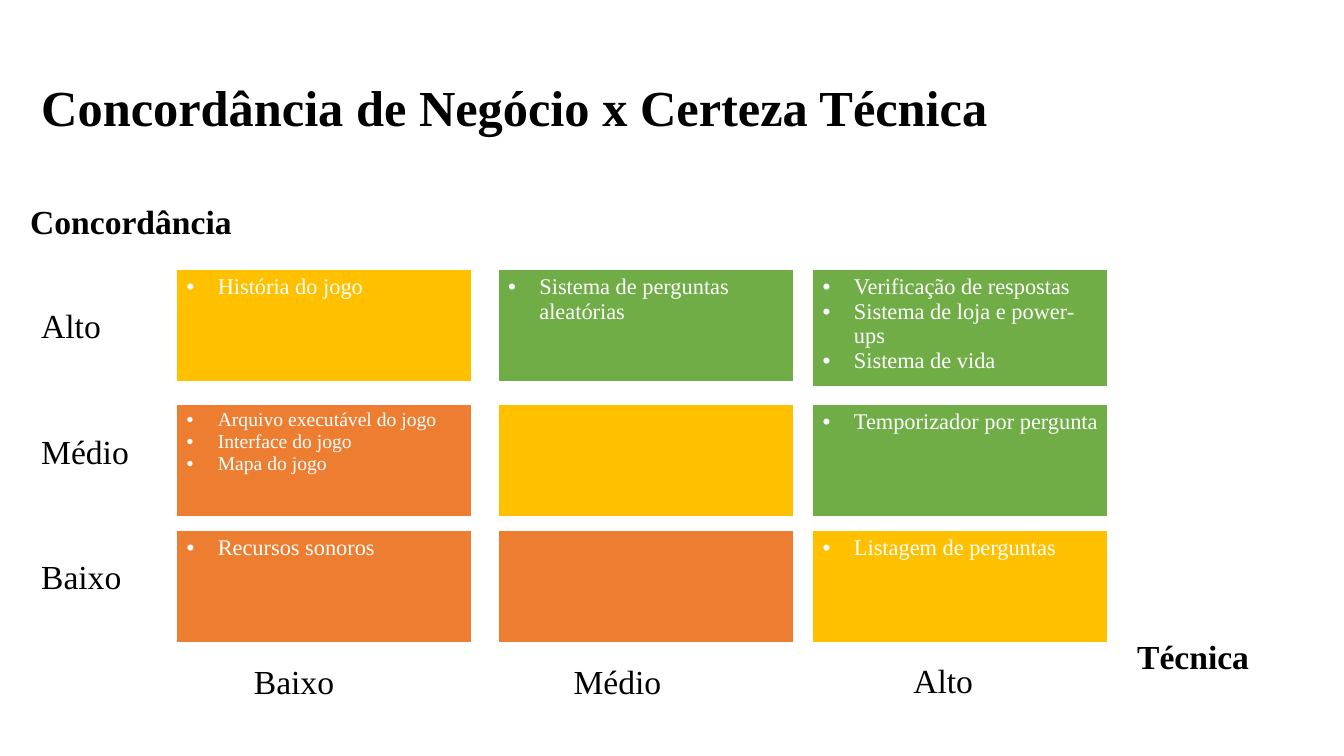
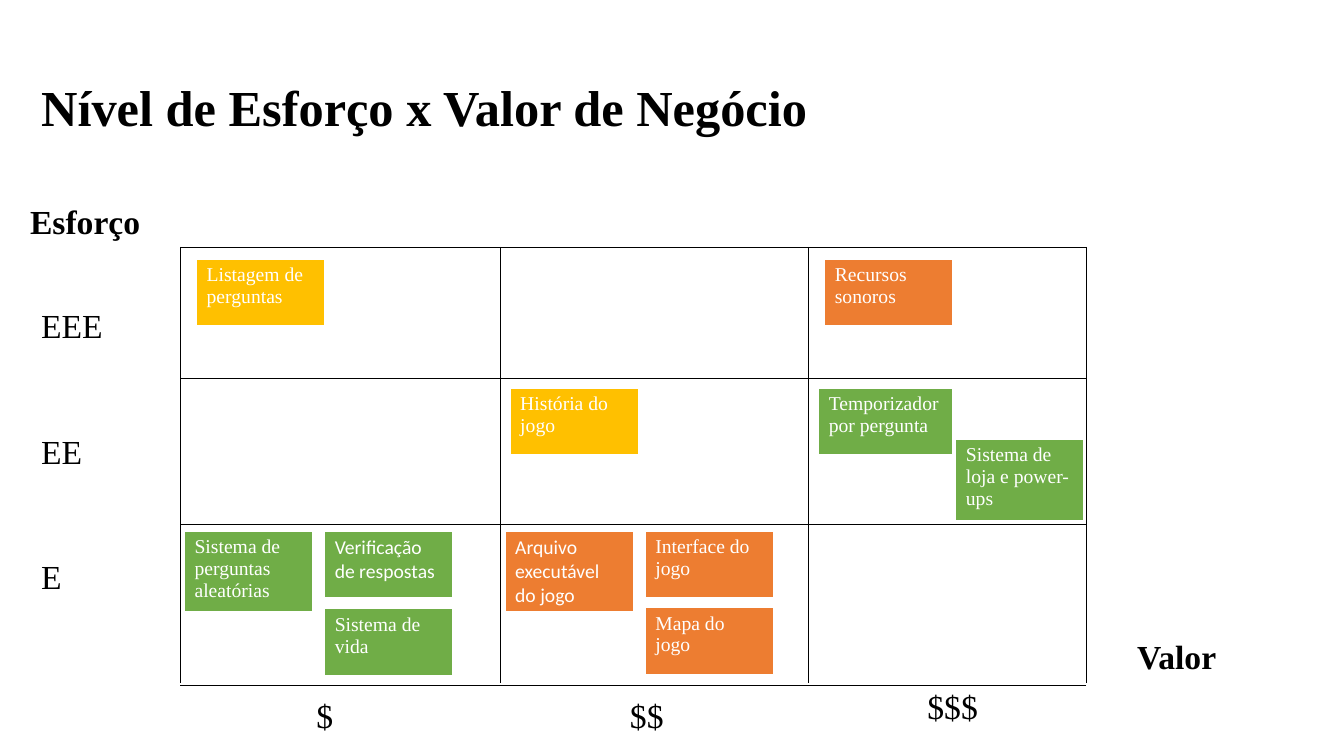
from dataclasses import dataclass

from lxml.etree import SubElement
from pptx import Presentation
from pptx.dml.color import RGBColor
from pptx.enum.shapes import MSO_CONNECTOR as Connector
from pptx.enum.text import MSO_AUTO_SIZE as AutoSize
from pptx.oxml.ns import qn
from pptx.slide import Slide
from pptx.text.text import _Paragraph as Paragraph
from pptx.util import Inches, Pt

SERIF, SANS = "Times New Roman", "Calibri"
BLACK, WHITE = "000000", "FFFFFF"
GREEN, YELLOW, ORANGE = "70AD47", "FFC000", "ED7D31"
LEVEL_TOPS = (2.98, 4.23, 5.47)
BULLET_INDENT = 0.31


@dataclass(frozen=True)
class Label:
    """A one-line text on the white background."""
    text: str
    left: float
    top: float
    width: float
    height: float = 0.5
    size: int = 24
    bold: bool = False


@dataclass(frozen=True)
class Card:
    """A coloured single-cell table holding backlog items."""
    items: tuple[str, ...]
    fill: str
    left: float
    top: float
    width: float = 1.27
    height: float = 0.66
    size: int = 14
    font: str = SERIF
    bulleted: bool = False


@dataclass(frozen=True)
class Matrix:
    """Wording of one prioritisation matrix; pairs hold a text and its width."""
    title: tuple[str, float]
    vertical: tuple[str, float]
    horizontal: tuple[str, float]
    levels: tuple[tuple[str, float], ...]
    columns: tuple[Label, ...]


def color(value: str) -> RGBColor:
    """Turn a hex string into a colour."""
    return RGBColor.from_string(value)


def style(paragraph: Paragraph, size: int, fill: str,
          font: str = SERIF, bold: bool = False) -> None:
    """Set the font of a whole paragraph."""
    paragraph.font.name = font
    paragraph.font.size = Pt(size)
    paragraph.font.bold = bold
    paragraph.font.color.rgb = color(fill)


def add_bullet(paragraph: Paragraph) -> None:
    """Give a paragraph a round bullet and a hanging indent."""
    properties = paragraph._p.get_or_add_pPr()
    properties.set("marL", str(Inches(BULLET_INDENT)))
    properties.set("indent", str(-Inches(BULLET_INDENT)))
    SubElement(properties, qn("a:buFont")).set("typeface", "Arial")
    SubElement(properties, qn("a:buChar")).set("char", "•")


def draw_label(slide: Slide, label: Label) -> None:
    """Draw one line of text."""
    box = slide.shapes.add_textbox(Inches(label.left), Inches(label.top),
                                   Inches(label.width), Inches(label.height))
    frame = box.text_frame
    frame.word_wrap = False
    frame.auto_size = AutoSize.SHAPE_TO_FIT_TEXT
    frame.text = label.text
    style(frame.paragraphs[0], label.size, BLACK, bold=label.bold)


def draw_card(slide: Slide, card: Card) -> None:
    """Draw a card with one paragraph for each item."""
    table = slide.shapes.add_table(1, 1, Inches(card.left), Inches(card.top),
                                   Inches(card.width), Inches(card.height)).table
    table.first_row = table.horz_banding = False
    cell = table.cell(0, 0)
    cell.fill.solid()
    cell.fill.fore_color.rgb = color(card.fill)
    if not card.items:
        return
    cell.text = "\n".join(card.items)
    for paragraph in cell.text_frame.paragraphs:
        if card.bulleted:
            add_bullet(paragraph)
        style(paragraph, card.size, WHITE, card.font)


def draw_rule(slide: Slide, x1: float, y1: float, x2: float, y2: float) -> None:
    """Draw a thin black line."""
    rule = slide.shapes.add_connector(Connector.STRAIGHT, Inches(x1), Inches(y1),
                                      Inches(x2), Inches(y2))
    rule.line.color.rgb = color(BLACK)
    rule.line.width = Pt(0.5)
    SubElement(rule._element.spPr, qn("a:effectLst"))


def draw_grid(slide: Slide, xs: tuple[float, ...], ys: tuple[float, ...],
              foot: float) -> None:
    """Draw the matrix lines; the vertical ones end at foot."""
    for y in ys:
        draw_rule(slide, xs[0], y, xs[-1], y)
    for x in xs:
        draw_rule(slide, x, ys[0], x, foot)


def add_matrix(deck: Presentation, matrix: Matrix) -> Slide:
    """Add a slide with its title, axis names and axis levels."""
    slide = deck.slides.add_slide(deck.slide_layouts[6])
    title, title_width = matrix.title
    vertical, vertical_width = matrix.vertical
    horizontal, horizontal_width = matrix.horizontal
    labels = [
        Label(title, 0.31, 0.71, title_width, 0.71, 36, True),
        Label(vertical, 0.2, 1.94, vertical_width, bold=True),
        Label(horizontal, 11.18, 6.26, horizontal_width, bold=True),
    ]
    labels += [Label(text, 0.31, top, width)
               for (text, width), top in zip(matrix.levels, LEVEL_TOPS)]
    for label in (*labels, *matrix.columns):
        draw_label(slide, label)
    return slide


AGREEMENT = Matrix(
    ("Concordância de Negócio x Certeza Técnica", 9.81),
    ("Concordância", 2.22),
    ("Técnica", 1.32),
    (("Alto", 0.8), ("Médio", 1.08), ("Baixo", 1)),
    (Label("Baixo", 2.42, 6.51, 1), Label("Médio", 5.59, 6.51, 1.08),
     Label("Alto", 8.96, 6.5, 0.8)),
)
AGREEMENT_LEFTS = (1.75, 4.94, 8.06)
AGREEMENT_TOPS = (2.67, 4.01, 5.26)
AGREEMENT_ROWS = (
    ((YELLOW, ("História do jogo",)),
     (GREEN, ("Sistema de perguntas aleatórias",)),
     (GREEN, ("Verificação de respostas", "Sistema de loja e power-ups",
              "Sistema de vida"))),
    ((ORANGE, ("Arquivo executável do jogo", "Interface do jogo", "Mapa do jogo")),
     (YELLOW, ()),
     (GREEN, ("Temporizador por pergunta",))),
    ((ORANGE, ("Recursos sonoros",)),
     (ORANGE, ()),
     (YELLOW, ("Listagem de perguntas",))),
)

EFFORT = Matrix(
    ("Nível de Esforço x Valor de Negócio", 8.01),
    ("Esforço", 1.3),
    ("Valor", 0.99),
    (("EEE", 0.82), ("EE", 0.61), ("E", 0.41)),
    (Label("$", 3.04, 6.84, 0.37), Label("$$", 6.15, 6.84, 0.54),
     Label("$$$", 9.1, 6.76, 0.71)),
)
EFFORT_CARDS = (
    Card(("Listagem de perguntas",), YELLOW, 1.95, 2.57),
    Card(("Sistema de perguntas aleatórias",), GREEN, 1.83, 5.27),
    Card(("Verificação de respostas",), GREEN, 3.22, 5.27, font=SANS),
    Card(("Sistema de vida",), GREEN, 3.22, 6.04),
    Card(("Arquivo executável do jogo",), ORANGE, 5.01, 5.27, font=SANS),
    Card(("Interface do jogo",), ORANGE, 6.4, 5.27),
    Card(("Mapa do jogo",), ORANGE, 6.4, 6.03),
    Card(("História do jogo",), YELLOW, 5.06, 3.85),
    Card(("Recursos sonoros",), ORANGE, 8.18, 2.57),
    Card(("Temporizador por pergunta",), GREEN, 8.12, 3.85, width=1.33),
    Card(("Sistema de loja e power-ups",), GREEN, 9.48, 4.36),
)


def build_agreement(deck: Presentation) -> None:
    """Build the agreement and technical certainty slide."""
    slide = add_matrix(deck, AGREEMENT)
    for row, (top, entries) in enumerate(zip(AGREEMENT_TOPS, AGREEMENT_ROWS)):
        for column, (left, (fill, items)) in enumerate(zip(AGREEMENT_LEFTS, entries)):
            size = 14 if (row, column) == (1, 0) else 16
            draw_card(slide, Card(items, fill, left, top, 2.93, 1.12, size,
                                  bulleted=True))


def build_effort(deck: Presentation) -> None:
    """Build the effort and business value slide."""
    slide = add_matrix(deck, EFFORT)
    draw_grid(slide, (1.79, 4.96, 8.02, 10.77), (2.45, 3.75, 5.2, 6.8), foot=6.78)
    for card in EFFORT_CARDS:
        draw_card(slide, card)


def main() -> None:
    """Build and save the presentation."""
    deck = Presentation()
    deck.slide_width, deck.slide_height = Inches(13.33), Inches(7.5)
    build_agreement(deck)
    build_effort(deck)
    deck.save("out.pptx")


main()
